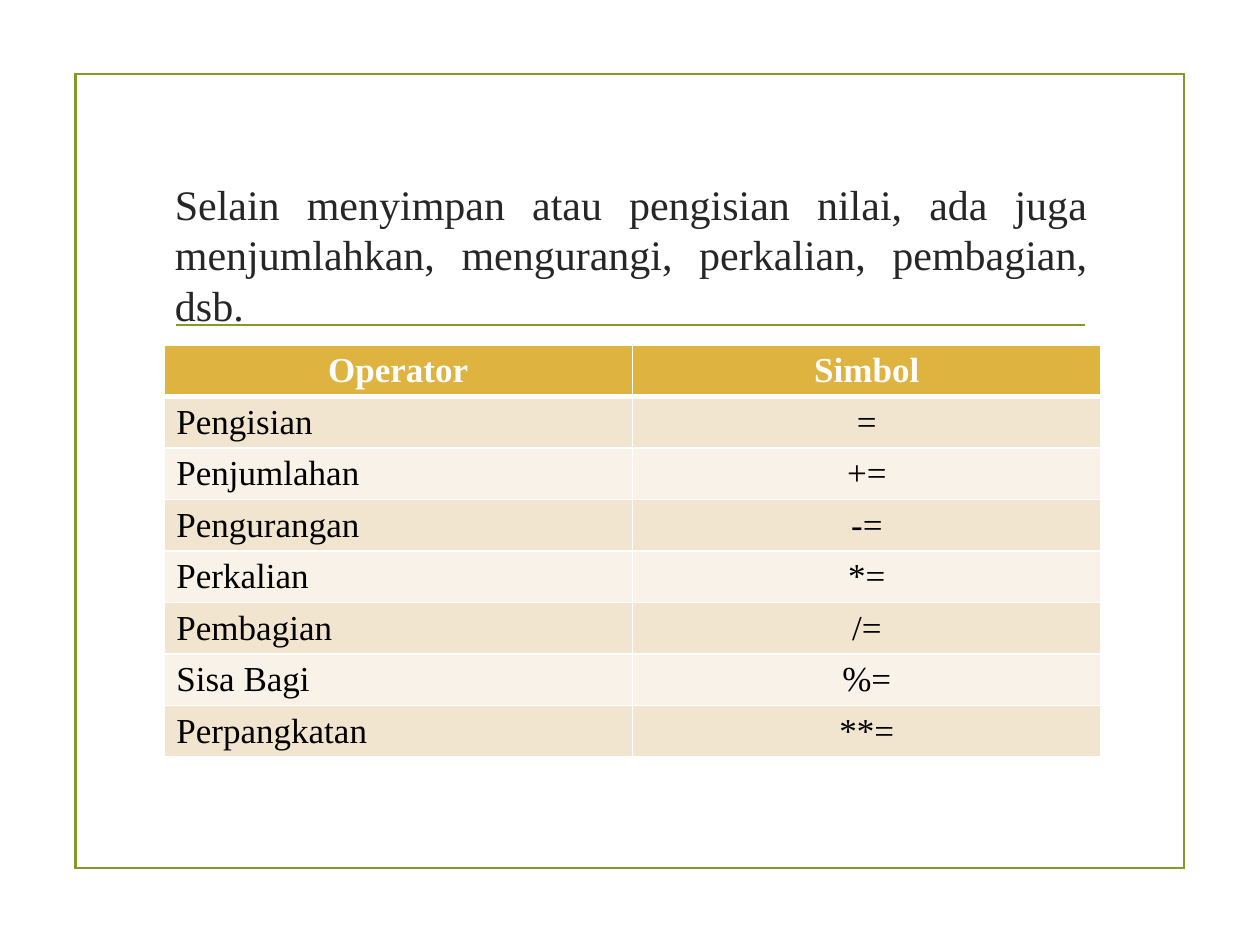
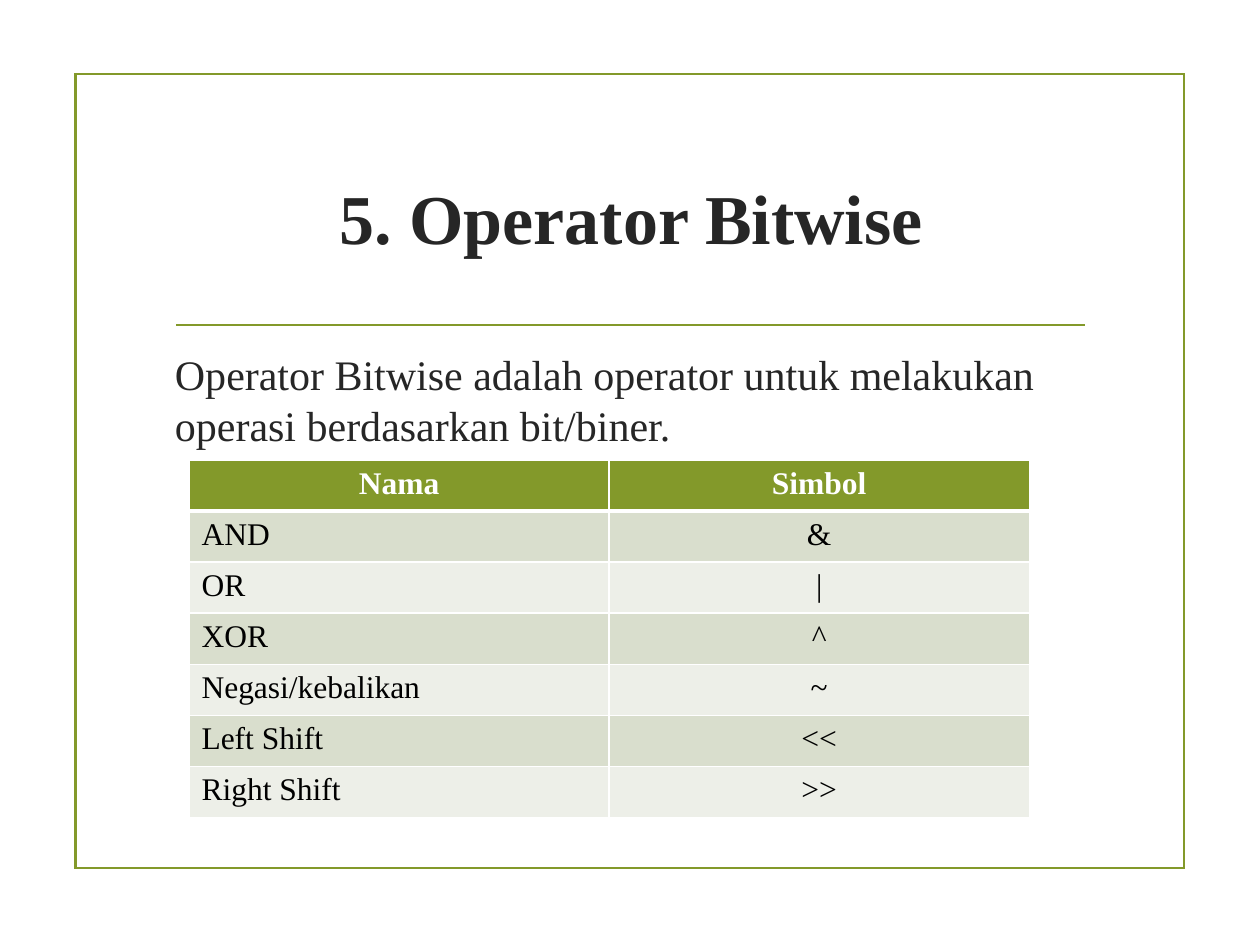
"""Two slides of operators, each with a framed page, a heading and a table of symbols."""
from lxml.etree import SubElement
from pptx import Presentation
from pptx.dml.color import RGBColor
from pptx.enum.shapes import MSO_CONNECTOR, MSO_SHAPE
from pptx.enum.text import MSO_ANCHOR, PP_ALIGN
from pptx.oxml.ns import qn
from pptx.util import Inches, Pt

COLORS = {"green": "83992A", "text": "262626", "black": "000000", "white": "FFFFFF",
          "gold": "DEB340", "gold_dark": "F2E5CF", "gold_light": "F9F2E8",
          "green_dark": "D9DECD", "green_light": "EDEFE8"}
FONT = "Times New Roman"
LEFT, WIDTH, TITLE_HEIGHT = 1.29, 7.44, 1.43
CELL_BOTTOM = 0.02
FRAME = (0.6, 0.59, 8.8, 6.3)
RULE = (1.4, 2.58, 8.61, 2.58)

SLIDES = [
    {"title": "Selain menyimpan atau pengisian nilai, ada juga menjumlahkan, "
              "mengurangi, perkalian, pembagian, dsb.",
     "title_top": 1.3,
     "title_format": {"size": 24, "align": PP_ALIGN.JUSTIFY},
     "table_box": (1.3, 2.74, 7.44, 3.27), "table_size": 20,
     "fills": ("gold", "gold_dark", "gold_light"),
     "rows": [("Operator", "Simbol"), ("Pengisian", "="), ("Penjumlahan", "+="),
              ("Pengurangan", "-="), ("Perkalian", "*="), ("Pembagian", "/="),
              ("Sisa Bagi", "%="), ("Perpangkatan", "**=")]},
    {"title": "5. Operator Bitwise",
     "title_top": 1,
     "title_format": {"size": 40, "bold": True, "align": PP_ALIGN.CENTER},
     "body": "Operator Bitwise adalah operator untuk melakukan operasi "
             "berdasarkan bit/biner.",
     "body_box": (LEFT, 2.72, WIDTH, 3.77),
     "table_box": (1.5, 3.65, 6.67, 2.84), "table_size": 18,
     "fills": ("green", "green_dark", "green_light"),
     "rows": [("Nama", "Simbol"), ("AND", "&"), ("OR", "|"), ("XOR", "^"),
              ("Negasi/kebalikan", "~"), ("Left Shift", "<<"), ("Right Shift", ">>")]},
]


def rgb(name):
    return RGBColor.from_string(COLORS[name])


def inches(values):
    return [Inches(v) for v in values]


def write(tf, text, size=24, color="text", bold=False, align=PP_ALIGN.LEFT):
    p = tf.paragraphs[0]
    p.alignment = align
    r = p.add_run()
    r.text = text
    r.font.name, r.font.size, r.font.bold = FONT, Pt(size), bold
    r.font.color.rgb = rgb(color)


def add_text(s, box, text, anchor=MSO_ANCHOR.TOP, **fmt):
    tf = s.shapes.add_textbox(*inches(box)).text_frame
    tf.word_wrap = True
    tf.vertical_anchor = anchor
    write(tf, text, **fmt)


def add_frame(s):
    sp = s.shapes.add_shape(MSO_SHAPE.RECTANGLE, *inches(FRAME))
    sp.shadow.inherit = False
    sp.fill.background()
    rule = s.shapes.add_connector(MSO_CONNECTOR.STRAIGHT, *inches(RULE))
    SubElement(rule._element.spPr, qn("a:effectLst"))
    for shape in (sp, rule):
        shape.line.color.rgb = rgb("green")
        shape.line.width = Pt(1.25)
        SubElement(shape.line._get_or_add_ln(), qn("a:miter"), lim="800000")


def set_borders(cell, **widths):
    tcPr = cell._tc.get_or_add_tcPr()
    for side in ("L", "R", "T", "B"):
        ln = SubElement(tcPr, qn(f"a:ln{side}"), w=str(Pt(widths.get(side, 1))))
        fill = SubElement(ln, qn("a:solidFill"))
        SubElement(fill, qn("a:srgbClr"), val=COLORS["white"])


def add_operator_table(s, rows, box, size, fills):
    header, *bands = fills
    table = s.shapes.add_table(len(rows), len(rows[0]), *inches(box)).table
    for i, row in enumerate(rows):
        for j, text in enumerate(row):
            cell = table.cell(i, j)
            cell.margin_bottom = Inches(CELL_BOTTOM)
            set_borders(cell, **{0: {"B": 3}, 1: {"T": 3}}.get(i, {}))
            cell.fill.solid()
            cell.fill.fore_color.rgb = rgb(bands[(i - 1) % 2] if i else header)
            write(cell.text_frame, text, size=size, bold=i == 0,
                  color="black" if i else "white",
                  align=PP_ALIGN.LEFT if i and j == 0 else PP_ALIGN.CENTER)


def main():
    prs = Presentation()
    prs.slide_width, prs.slide_height = Inches(10), Inches(7.5)
    for data in SLIDES:
        s = prs.slides.add_slide(prs.slide_layouts[6])
        add_frame(s)
        add_text(s, (LEFT, data["title_top"], WIDTH, TITLE_HEIGHT), data["title"],
                 anchor=MSO_ANCHOR.MIDDLE, **data["title_format"])
        if "body" in data:
            add_text(s, data["body_box"], data["body"])
        add_operator_table(s, data["rows"], data["table_box"], data["table_size"],
                           data["fills"])
    prs.save("out.pptx")


if __name__ == "__main__":
    main()
